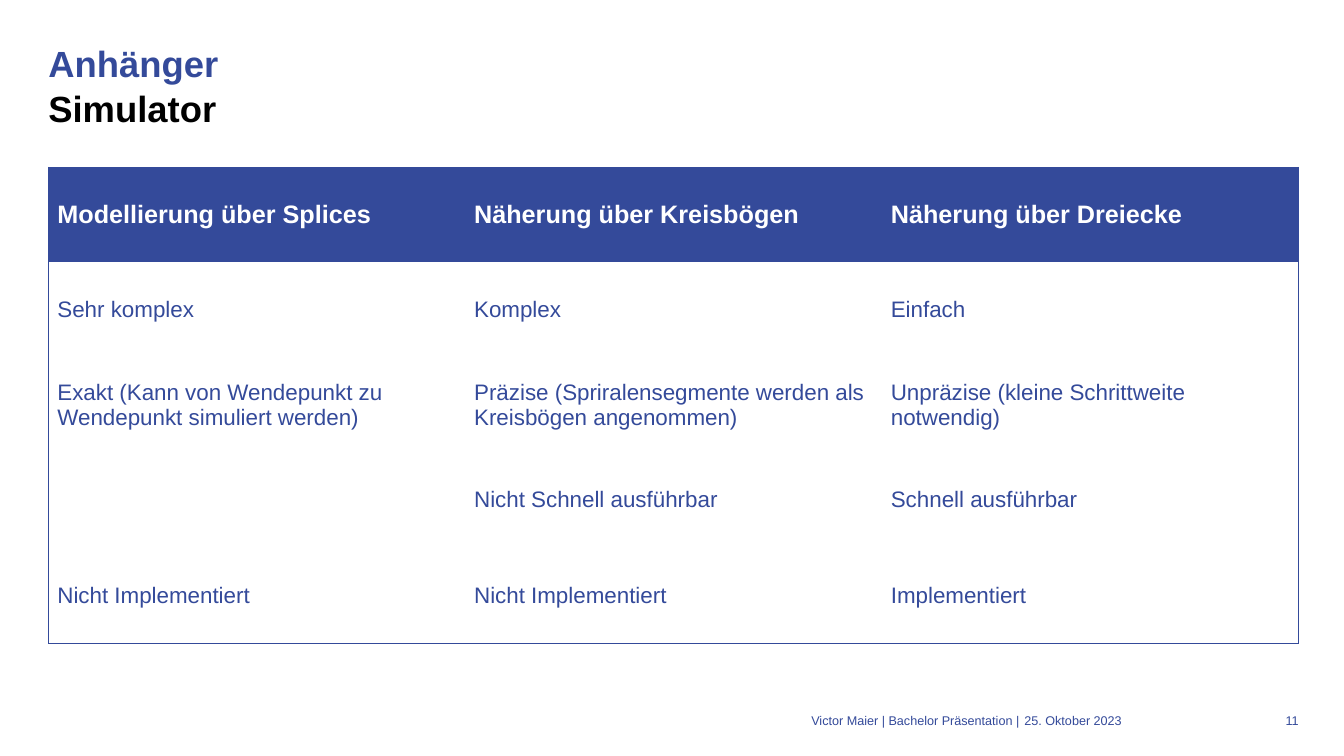
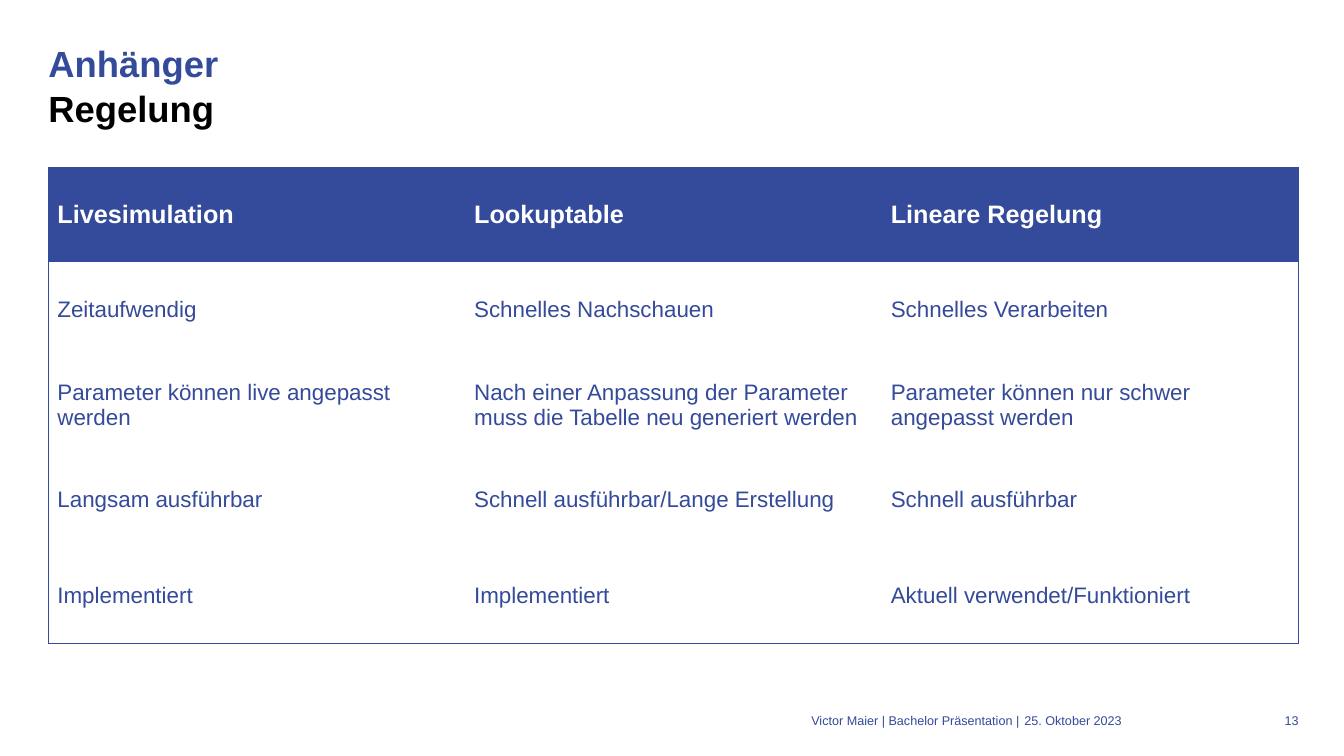
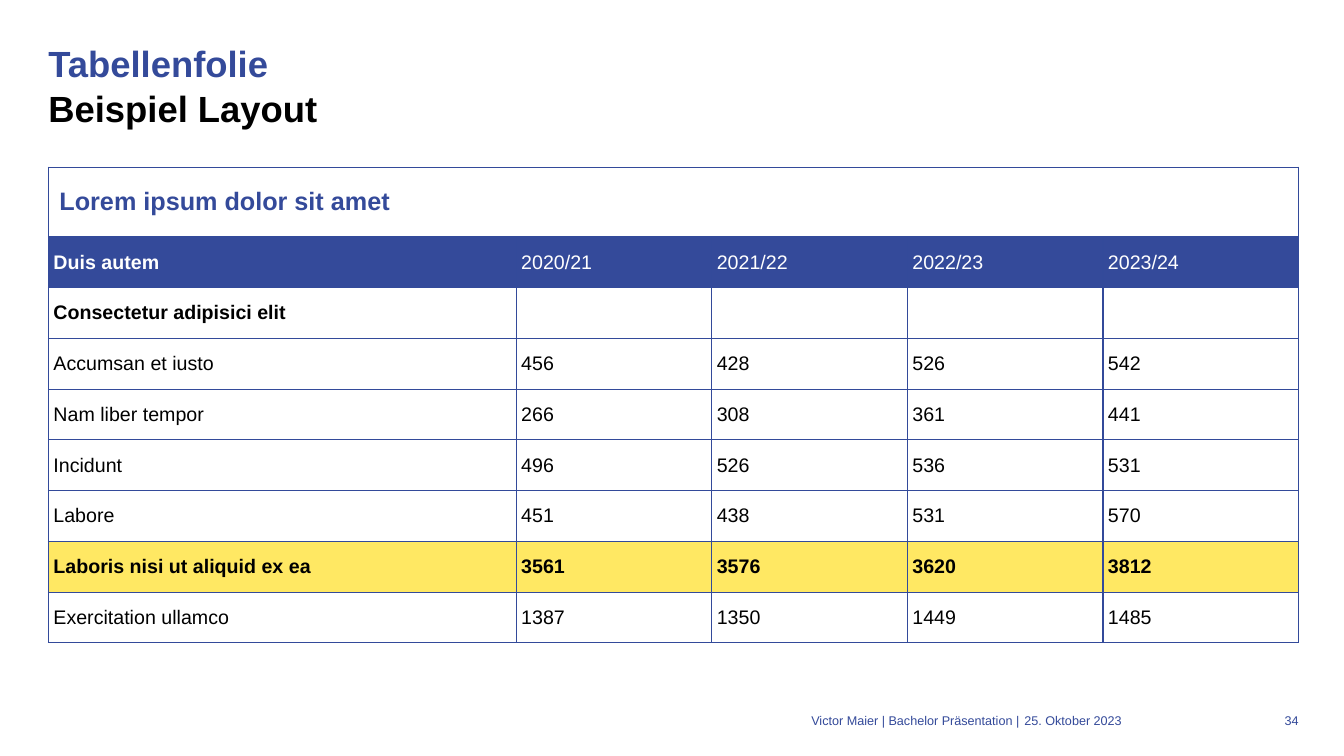
from pptx import Presentation
from pptx.util import Inches, Pt
from pptx.dml.color import RGBColor
from pptx.enum.text import PP_ALIGN, MSO_ANCHOR, MSO_AUTO_SIZE
from pptx.oxml import parse_xml
from pptx.oxml.ns import nsdecls

HUES = {"blue": "344A9A", "line": "334A9A", "black": "000000",
        "white": "FFFFFF", "gold": "FFE863"}
PLAIN = "{2D5ABB26-0587-4C30-8999-92F81FD0307C}"
LEFT, TOP, WIDTH, HEIGHT = 0.48, 1.66, 12.4, 4.72


def write(frame, text, size=9, hues=("blue",), bold=False, align=PP_ALIGN.LEFT,
          space=None, inset=(0, 0, 0, 0)):
    frame.word_wrap = True
    frame.margin_left, frame.margin_top, frame.margin_right, frame.margin_bottom = map(Inches, inset)
    para = frame.paragraphs[0]
    para.alignment = align
    para.line_spacing = space
    for i, (line, hue) in enumerate(zip(text.split("\n"), hues)):
        if i:
            para.add_line_break()
        run = para.add_run()
        run.text = line
        font = run.font
        font.name, font.size, font.bold = "Arial", Pt(size), bold
        font.color.rgb = RGBColor.from_string(HUES[hue])


def border(cell, sides, hue, points):
    props = cell._tc.get_or_add_tcPr()
    for i, side in enumerate(s for s in "LRTB" if s in sides):
        props.insert(i, parse_xml(
            f'<a:ln{side} {nsdecls("a")} w="{Pt(points)}"><a:solidFill>'
            f'<a:srgbClr val="{HUES[hue]}"/></a:solidFill></a:ln{side}>'))


LOOKS = {
    "head": dict(size=18, hue="white", fill="blue", bold=(True, True), inset=(0.09, 0.09)),
    "body": dict(size=16, hue="blue", fill="white", bold=(False, False), inset=(0.09, 0.09)),
    "name": dict(size=18, hue="blue", fill="white", bold=(True, True), inset=(0.11, 0.05)),
    "years": dict(size=14, hue="white", fill="blue", bold=(True, False), inset=(0.05, 0.05)),
    "group": dict(size=14, hue="black", fill="white", bold=(True, True), inset=(0.05, 0.05)),
    "data": dict(size=14, hue="black", fill="white", bold=(False, False), inset=(0.05, 0.05)),
    "total": dict(size=14, hue="black", fill="gold", bold=(True, True), inset=(0.05, 0.05)),
}
THIRDS = dict(cols=[WIDTH / 3] * 3, rows=[HEIGHT / 5] * 5,
              kinds=["head"] + ["body"] * 4, grid=False)
YEARS = dict(cols=[4.64] + [(WIDTH - 4.64) / 4] * 4, rows=[0.69] + [(HEIGHT - 0.69) / 8] * 8,
             kinds=["name", "years", "group"] + ["data"] * 4 + ["total", "data"], grid=True)

PAGES = [
    ("11", "Anhänger\nSimulator", THIRDS, [
        ["Modellierung über Splices", "Näherung über Kreisbögen", "Näherung über Dreiecke"],
        ["Sehr komplex", "Komplex", "Einfach"],
        ["Exakt (Kann von Wendepunkt zu Wendepunkt simuliert werden)",
         "Präzise (Spriralensegmente werden als Kreisbögen angenommen)",
         "Unpräzise (kleine Schrittweite notwendig)"],
        ["", "Nicht Schnell ausführbar", "Schnell ausführbar"],
        ["Nicht Implementiert", "Nicht Implementiert", "Implementiert"]]),
    ("13", "Anhänger\nRegelung", THIRDS, [
        ["Livesimulation", "Lookuptable", "Lineare Regelung"],
        ["Zeitaufwendig", "Schnelles Nachschauen", "Schnelles Verarbeiten"],
        ["Parameter können live angepasst werden",
         "Nach einer Anpassung der Parameter muss die Tabelle neu generiert werden",
         "Parameter können nur schwer angepasst werden"],
        ["Langsam ausführbar", "Schnell ausführbar/Lange Erstellung", "Schnell ausführbar"],
        ["Implementiert", "Implementiert", "Aktuell verwendet/Funktioniert"]]),
    ("34", "Tabellenfolie\nBeispiel Layout", YEARS, [
        ["Lorem ipsum dolor sit amet", "", "", "", ""],
        ["Duis autem", "2020/21", "2021/22", "2022/23", "2023/24"],
        ["Consectetur adipisici elit", "", "", "", ""],
        ["Accumsan et iusto", "456", "428", "526", "542"],
        ["Nam liber tempor", "266", "308", "361", "441"],
        ["Incidunt", "496", "526", "536", "531"],
        ["Labore", "451", "438", "531", "570"],
        ["Laboris nisi ut aliquid ex ea", "3561", "3576", "3620", "3812"],
        ["Exercitation ullamco", "1387", "1350", "1449", "1485"]]),
]

deck = Presentation()
deck.slide_width, deck.slide_height = Inches(13.33), Inches(7.5)

for number, heading, plan, cells in PAGES:
    slide = deck.slides.add_slide(deck.slide_layouts[5])
    title = slide.shapes.title
    title.left, title.top, title.width, title.height = map(Inches, (LEFT, 0.4, WIDTH, 1.06))
    title.text_frame.vertical_anchor = MSO_ANCHOR.TOP
    title.text_frame.auto_size = MSO_AUTO_SIZE.NONE
    write(title.text_frame, heading, size=26, hues=("blue", "black"), bold=True, space=Pt(32))

    last_row, last_col = len(plan["rows"]) - 1, len(plan["cols"]) - 1
    table = slide.shapes.add_table(last_row + 1, last_col + 1, *map(Inches, (LEFT, TOP, WIDTH, HEIGHT))).table
    table._tbl.tblPr.find("{*}tableStyleId").text = PLAIN
    table.horz_banding = False
    for col, width in zip(table.columns, plan["cols"]):
        col.width = Inches(width)
    for row, height in zip(table.rows, plan["rows"]):
        row.height = Inches(height)
    for r, (kind, line) in enumerate(zip(plan["kinds"], cells)):
        look = LOOKS[kind]
        for c, text in enumerate(line):
            cell = table.cell(r, c)
            cell.vertical_anchor = MSO_ANCHOR.MIDDLE
            cell.fill.solid()
            cell.fill.fore_color.rgb = RGBColor.from_string(HUES[look["fill"]])
            across, down = map(Inches, look["inset"])
            cell.margin_left = cell.margin_right = across
            cell.margin_top = cell.margin_bottom = down
            if text:
                para = cell.text_frame.paragraphs[0]
                run = para.add_run()
                run.text = text
                run.font.name, run.font.size = "Arial", Pt(look["size"])
                run.font.bold = look["bold"][c > 0]
                run.font.color.rgb = RGBColor.from_string(HUES[look["hue"]])
            if plan["grid"]:
                border(cell, "LRTB", "line", 1)
            else:
                edges = {"L": c == 0, "R": c == last_col, "T": r == 0, "B": r == last_row}
                border(cell, [side for side in edges if edges[side]], "blue", 0.5)
    if plan["grid"]:
        table.cell(0, 0).merge(table.cell(0, last_col))

    for text, left, width, align, pad in (
            ("Victor Maier | Bachelor Präsentation |", 3.26, 6.85, PP_ALIGN.RIGHT, 0),
            ("25. Oktober 2023", 10.12, 1.57, PP_ALIGN.LEFT, 0.04),
            (number, 12.49, 0.39, PP_ALIGN.RIGHT, 0)):
        box = slide.shapes.add_textbox(*map(Inches, (left, 7.07, width, 0.2)))
        write(box.text_frame, text, align=align, inset=(pad, 0, 0, 0))

deck.save("out.pptx")
